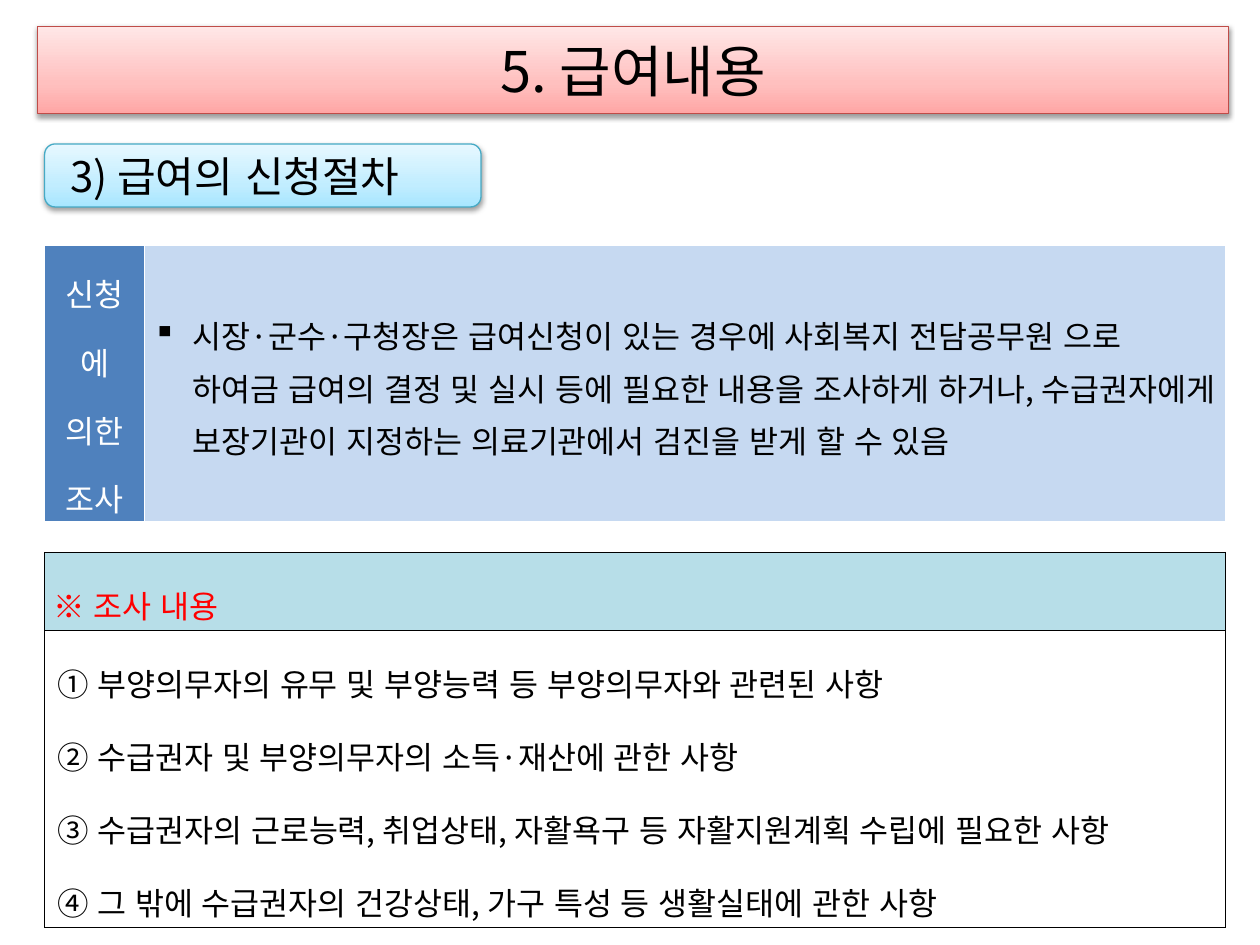
"""Build the slide on how benefits are applied for and investigated."""
import pptx
import pptx.util
import pptx.dml.color
import pptx.enum.lang
import pptx.enum.shapes
import pptx.enum.text
import pptx.oxml
import pptx.oxml.ns
from pptx.util import Pt

FONT = "Noto Sans CJK KR"
ALIGN = pptx.enum.text.PP_ALIGN
MIDDLE = pptx.enum.text.MSO_ANCHOR.MIDDLE
NS = pptx.oxml.ns.nsdecls("a")
qn = pptx.oxml.ns.qn


def rgb(value):
    """Return the colour for a hex string."""
    return pptx.dml.color.RGBColor.from_string(value)


def element(xml):
    """Return an element from markup whose root lacks the namespace."""
    tag, rest = xml.split(" ", 1)
    return pptx.oxml.parse_xml(f"{tag} {NS} {rest}")


def write(frame, *lines, size=18, color="000000", align=ALIGN.LEFT,
          spacing=None, indent=0, hanging=0, bullet=None):
    """Fill a text frame with one formatted paragraph per line."""
    frame.word_wrap = True
    for index, line in enumerate(lines):
        paragraph = frame.paragraphs[0] if index == 0 else frame.add_paragraph()
        paragraph.alignment = align
        paragraph.space_before = Pt(0)
        if spacing:
            paragraph.line_spacing = spacing
        properties = paragraph._p.get_or_add_pPr()
        properties.set("marL", str(Pt(indent)))
        properties.set("indent", str(-Pt(hanging)))
        if bullet:
            properties.append(element(f'<a:buChar char="{bullet}"/>'))
        run = paragraph.add_run()
        run.text = line
        run.font.size = Pt(size)
        run.font.name = FONT
        run.font.color.rgb = rgb(color)
        run.font.language_id = pptx.enum.lang.MSO_LANGUAGE_ID.KOREAN
        run.font._element.find(qn("a:latin")).addnext(
            element(f'<a:ea typeface="{FONT}"/>'))


def place(shape, left, top, width, height):
    """Set the position and size of a shape in points."""
    shape.left, shape.top = Pt(left), Pt(top)
    shape.width, shape.height = Pt(width), Pt(height)


def style_banner(shape, colors, outline):
    """Give a banner its upward gradient, outline and soft shadow."""
    shape.fill.gradient()
    shape.fill.gradient_angle = 90
    properties = shape._element.spPr
    stops = properties.find(qn("a:gradFill")).find(qn("a:gsLst"))
    for stop in list(stops):
        stops.remove(stop)
    for position, color in zip((0, 35, 100), colors):
        stops.append(element(f'<a:gs pos="{position * 1000}">'
                             f'<a:srgbClr val="{color}"/></a:gs>'))
    shape.line.color.rgb = rgb(outline)
    shape.line.width = Pt(0.75)
    shape.shadow.inherit = False
    properties.find(qn("a:effectLst")).append(element(
        f'<a:outerShdw blurRad="{Pt(3.1)}" dist="{Pt(1.6)}" dir="5400000" '
        'rotWithShape="0"><a:srgbClr val="000000"><a:alpha val="38000"/>'
        '</a:srgbClr></a:outerShdw>'))
    shape.text_frame.vertical_anchor = MIDDLE


def add_grid(slide, left, top, widths, heights):
    """Add a plain table with the given column widths and row heights."""
    table = slide.shapes.add_table(
        len(heights), len(widths), Pt(left), Pt(top),
        Pt(sum(widths)), Pt(sum(heights))).table
    table.first_row = table.horz_banding = False
    for column, width in zip(table.columns, widths):
        column.width = Pt(width)
    for row, height in zip(table.rows, heights):
        row.height = Pt(height)
    return table


def fill_cell(cell, *lines, fill, border, widths, **text_format):
    """Write a cell and set its fill and its left, right, top, bottom borders."""
    cell.vertical_anchor = MIDDLE
    cell.margin_left = cell.margin_right = Pt(5.1)
    cell.margin_top = cell.margin_bottom = Pt(1.4)
    if fill:
        cell.fill.solid()
        cell.fill.fore_color.rgb = rgb(fill)
    else:
        cell.fill.background()
    properties = cell._tc.get_or_add_tcPr()
    for index, (side, width) in enumerate(zip("LRTB", widths)):
        properties.insert(index, element(
            f'<a:ln{side} w="{Pt(width)}"><a:solidFill>'
            f'<a:srgbClr val="{border}"/></a:solidFill></a:ln{side}>'))
    write(cell.text_frame, *lines, **text_format)


def add_investigation(slide):
    """Add the table that explains investigation upon application."""
    label, body = add_grid(slide, 25.5, 140, (57, 618), (147.6,)).rows[0].cells
    edges = dict(border="FFFFFF", widths=(1, 1, 1, 3))
    fill_cell(label, "신청에 의한 조사", fill="4F81BD", color="FFFFFF",
              align=ALIGN.CENTER, spacing=1.5, **edges)
    fill_cell(body, "시장·군수·구청장은 급여신청이 있는 경우에 사회복지 전담공무원 으로 "
              "하여금 급여의 결정 및 실시 등에 필요한 내용을 조사하게 하거나, "
              "수급권자에게 보장기관이 지정하는 의료기관에서 검진을 받게 할 수 있음",
              fill="C6D9F1", spacing=Pt(30), indent=22.5, hanging=22.5,
              bullet="▪", **edges)


def add_items(slide):
    """Add the table that lists what is investigated."""
    table = add_grid(slide, 25.5, 315.5, (674.6,), (44, 170))
    shared = dict(border="000000", widths=(0.28,) * 4,
                  align=ALIGN.JUSTIFY, spacing=1.6)
    fill_cell(table.cell(0, 0), "※ 조사 내용", fill="B7DEE8",
              color="FF0000", **shared)
    fill_cell(table.cell(1, 0),
              "① 부양의무자의 유무 및 부양능력 등 부양의무자와 관련된 사항",
              "② 수급권자 및 부양의무자의 소득·재산에 관한 사항",
              "③ 수급권자의 근로능력, 취업상태, 자활욕구 등 자활지원계획 수립에 필요한 사항",
              "④ 그 밖에 수급권자의 건강상태, 가구 특성 등 생활실태에 관한 사항",
              fill=None, indent=2, **shared)


def main():
    """Build and save the presentation."""
    presentation = pptx.Presentation()
    presentation.slide_width, presentation.slide_height = Pt(720), Pt(540)
    slide = presentation.slides.add_slide(presentation.slide_layouts[5])

    title = slide.shapes.title
    place(title, 21.5, 15, 680.5, 50)
    style_banner(title, ("FFA6A5", "FFC0BF", "FFE7E7"), "BF4C48")
    write(title.text_frame, "5. 급여내용", size=32, align=ALIGN.CENTER)

    heading = slide.shapes.add_shape(
        pptx.enum.shapes.MSO_SHAPE.ROUNDED_RECTANGLE,
        Pt(25.5), Pt(82.3), Pt(249.4), Pt(36))
    style_banner(heading, ("A7E6FF", "C1EDFF", "E7F8FF"), "46AAC5")
    heading.text_frame.margin_left = Pt(13)
    write(heading.text_frame, "3) 급여의 신청절차", size=24)

    add_investigation(slide)
    add_items(slide)
    presentation.save("out.pptx")


if __name__ == "__main__":
    main()
